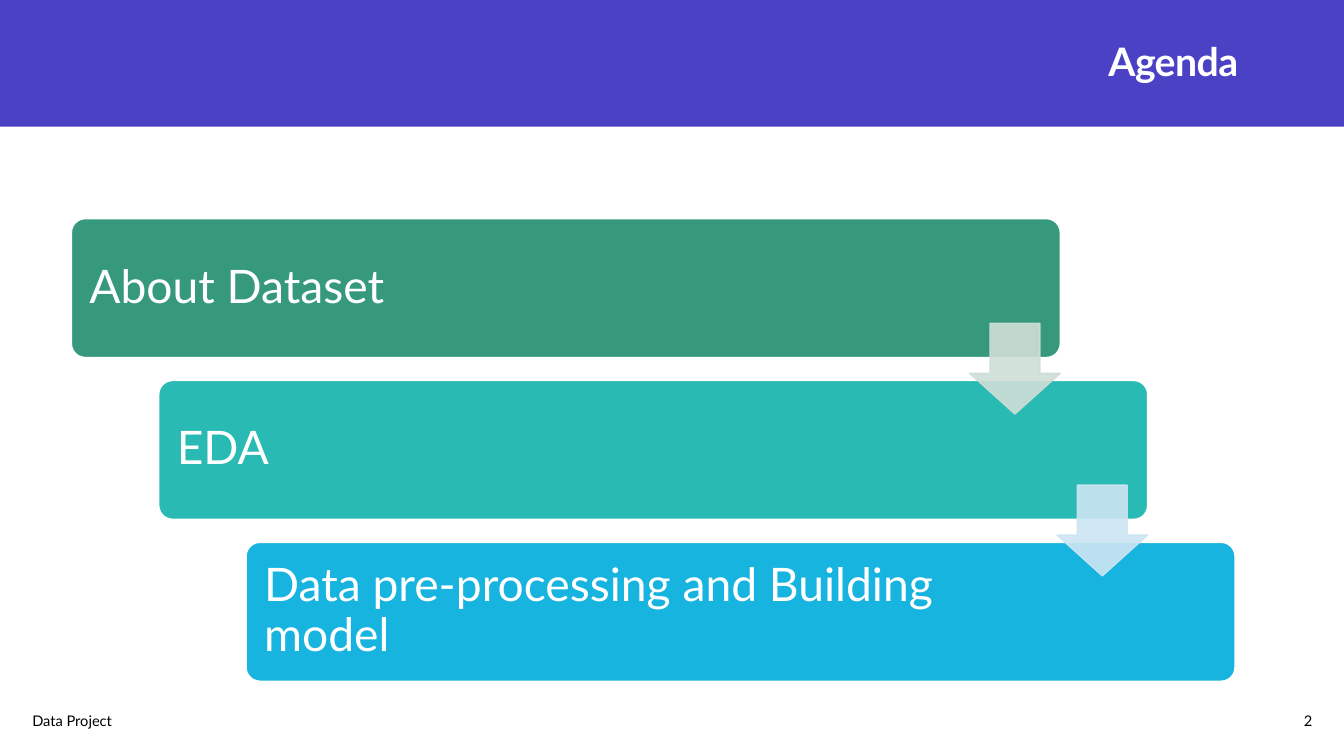
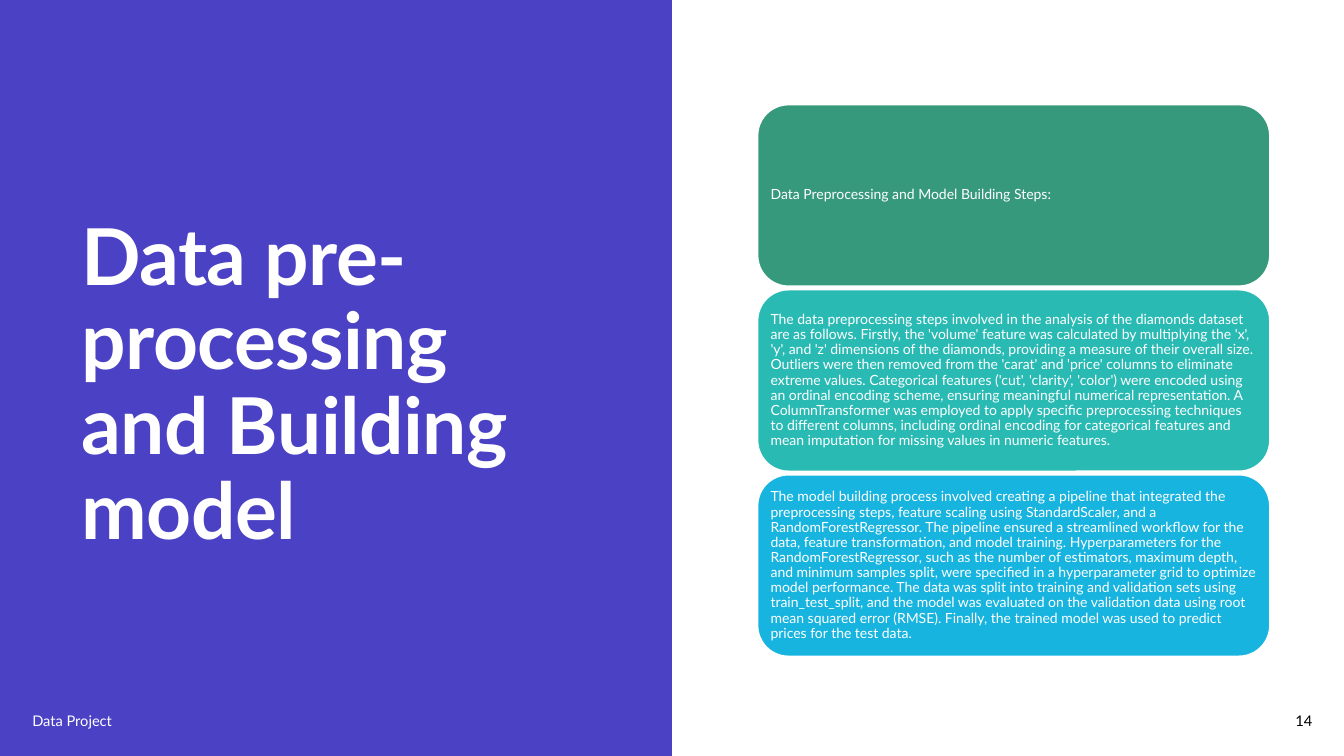
"""Build an agenda slide and a data preparation slide with a shared style."""
from lxml import etree
from pptx import Presentation
from pptx.dml.color import RGBColor
from pptx.enum.shapes import MSO_SHAPE
from pptx.enum.text import MSO_ANCHOR, MSO_AUTO_SIZE, PP_ALIGN
from pptx.oxml.ns import qn
from pptx.util import Pt

RECTANGLE, ROUNDED, DOWN_ARROW = MSO_SHAPE.RECTANGLE, MSO_SHAPE.ROUNDED_RECTANGLE, MSO_SHAPE.DOWN_ARROW
MIDDLE, BOTTOM = MSO_ANCHOR.MIDDLE, MSO_ANCHOR.BOTTOM
LEFT, RIGHT = PP_ALIGN.LEFT, PP_ALIGN.RIGHT
NO_AUTOFIT = MSO_AUTO_SIZE.NONE
FONT = "Lato"
COLORS = {
    "band": "4A41C5", "white": "FFFFFF", "black": "000000",
    "green": "37997B", "teal": "29BAB4", "blue": "17B4DF",
    "pale green": "CEDED7", "pale blue": "CCE5F3",
}
CARD_COLORS = ["green", "teal", "blue"]


def add_box(slide, kind, bounds, fill, line=None):
    shape = slide.shapes.add_shape(kind, *[Pt(value) for value in bounds])
    shape.shadow.inherit = False
    shape.fill.solid()
    shape.fill.fore_color.rgb = RGBColor.from_string(COLORS[fill])
    if line:
        shape.line.color.rgb = RGBColor.from_string(COLORS[line])
        shape.line.width = Pt(1)
    else:
        shape.line.fill.background()
    return shape


def write_text(shape, text, size, color, align=LEFT, anchor=MIDDLE, spacing=0.9, bold=False):
    frame = shape.text_frame
    frame.word_wrap = True
    frame.auto_size = NO_AUTOFIT
    frame.vertical_anchor = anchor
    paragraph = frame.paragraphs[0]
    paragraph.alignment = align
    paragraph.line_spacing = spacing
    run = paragraph.add_run()
    run.text = text
    run.font.name = FONT
    run.font.size = Pt(size)
    run.font.bold = bold
    run.font.color.rgb = RGBColor.from_string(COLORS[color])
    return run


SLIDES = [
    {
        "title": "Agenda", "title_bounds": (78, 15, 813.6, 61), "title_size": 28,
        "align": RIGHT, "anchor": MIDDLE, "band": (0, 0, 960, 90.5),
        "footer_color": "black", "number": "2",
        "first_card": (51, 156.2, 706.4, 99.2), "step": (62.4, 115.6), "corner": 0.1,
        "text_size": 33, "insets": (10, 137),
        "cards": ["About Dataset", "EDA", "Data pre-processing and Building model"],
        "arrows": ["pale green", "pale blue"],
    },
    {
        "title": "Data pre-processing and Building model",
        "title_bounds": (51, 69, 368, 332), "title_size": 56,
        "align": LEFT, "anchor": BOTTOM, "band": (0, 0, 480, 540),
        "footer_color": "white", "number": "14",
        "first_card": (541.2, 74.8, 365.8, 129.6), "step": (0, 132.2), "corner": 0.17,
        "text_size": 10, "insets": (2.8, 2.8),
        "cards": [
            "Data Preprocessing and Model Building Steps:",
            "The data preprocessing steps involved in the analysis of the diamonds dataset are as follows. "
            "Firstly, the 'volume' feature was calculated by multiplying the 'x', 'y', and 'z' dimensions of "
            "the diamonds, providing a measure of their overall size. Outliers were then removed from the "
            "'carat' and 'price' columns to eliminate extreme values. Categorical features ('cut', 'clarity', "
            "'color') were encoded using an ordinal encoding scheme, ensuring meaningful numerical "
            "representation. A ColumnTransformer was employed to apply specific preprocessing techniques to "
            "different columns, including ordinal encoding for categorical features and mean imputation for "
            "missing values in numeric features.",
            "The model building process involved creating a pipeline that integrated the preprocessing steps, "
            "feature scaling using StandardScaler, and a RandomForestRegressor. The pipeline ensured a "
            "streamlined workflow for the data, feature transformation, and model training. Hyperparameters "
            "for the RandomForestRegressor, such as the number of estimators, maximum depth, and minimum "
            "samples split, were specified in a hyperparameter grid to optimize model performance. The data "
            "was split into training and validation sets using train_test_split, and the model was evaluated "
            "on the validation data using root mean squared error (RMSE). Finally, the trained model was used "
            "to predict prices for the test data.",
        ],
        "arrows": [],
    },
]

presentation = Presentation()
presentation.slide_width, presentation.slide_height = Pt(960), Pt(540)
title_only = presentation.slide_layouts[5]

for content in SLIDES:
    slide = presentation.slides.add_slide(title_only)
    title = slide.shapes.title
    band = add_box(slide, RECTANGLE, content["band"], "band")
    title.element.addprevious(band.element)
    title.left, title.top, title.width, title.height = [Pt(value) for value in content["title_bounds"]]
    title_run = write_text(title, content["title"], content["title_size"], "white",
                           content["align"], content["anchor"], bold=True)
    title_run.font._element.set("spc", "-40")

    footers = [
        ("Data Project", 16, 381, LEFT, content["footer_color"]),
        (content["number"], 895, 49.5, RIGHT, "black"),
    ]
    for text, left, width, align, color in footers:
        footer = slide.shapes.add_textbox(Pt(left), Pt(500.5), Pt(width), Pt(28.8))
        write_text(footer, text, 10.5, color, align, spacing=1)

    left, top, width, height = content["first_card"]
    step_x, step_y = content["step"]
    for index, (text, color) in enumerate(zip(content["cards"], CARD_COLORS)):
        bounds = (left + index * step_x, top + index * step_y, width, height)
        card = add_box(slide, ROUNDED, bounds, color, "white")
        card.adjustments[0] = content["corner"]
        frame = card.text_frame
        frame.margin_left, frame.margin_right = [Pt(value) for value in content["insets"]]
        frame.margin_top = frame.margin_bottom = Pt(2.8)
        write_text(card, text, content["text_size"], "white")

    for index, color in enumerate(content["arrows"]):
        bounds = (692.6 + index * step_x, 231 + index * step_y, 64.8, 64.8)
        arrow = add_box(slide, DOWN_ARROW, bounds, color, color)
        arrow.adjustments[0], arrow.adjustments[1] = 0.55, 0.45
        for color_element in arrow.element.spPr.iter(qn("a:srgbClr")):
            etree.SubElement(color_element, qn("a:alpha")).set("val", "90000")

presentation.save("out.pptx")
